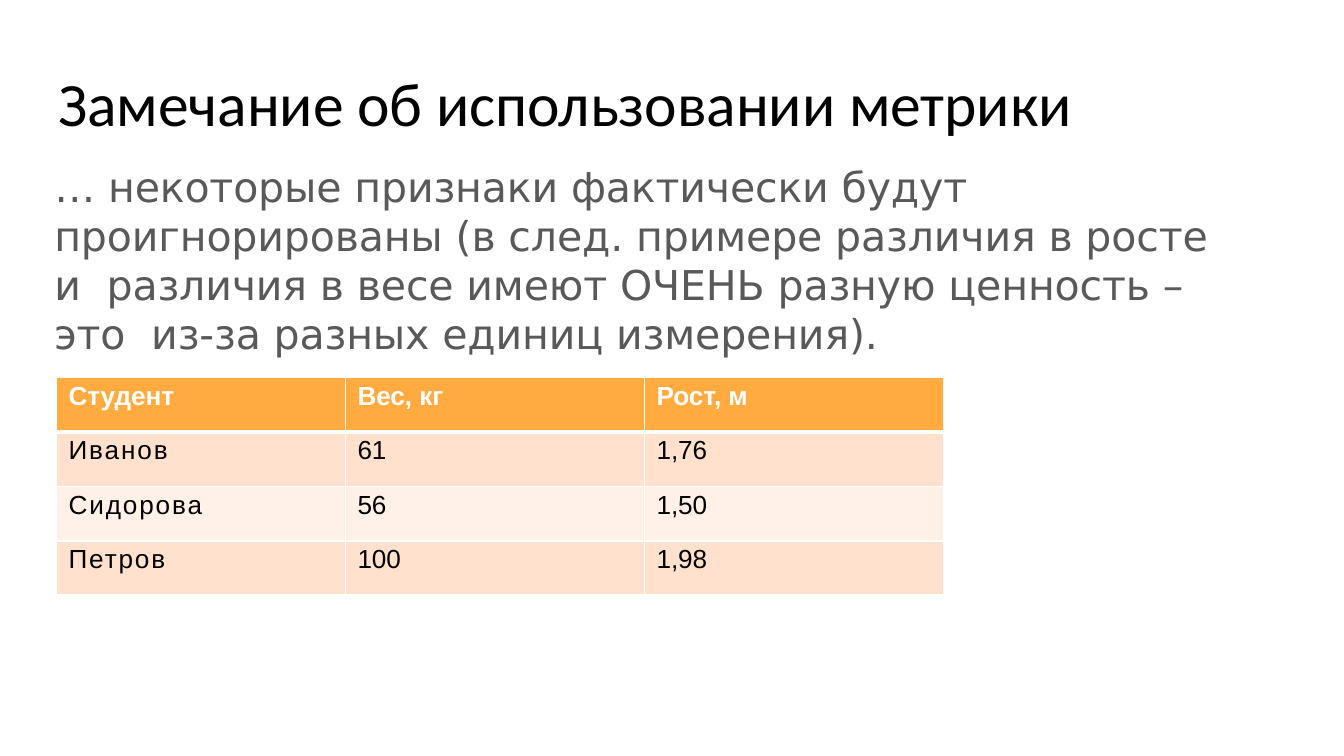
import pptx
import pptx.dml.color
import pptx.enum.text
import pptx.oxml
import pptx.oxml.ns
import pptx.util
from pptx.util import Inches, Pt

BLACK, WHITE, GREY = "000000", "FFFFFF", "595959"
HEADER, BAND_DARK, BAND_LIGHT = "FFAB40", "FFE1CD", "FFF1E7"
ROWS = [
    ("Студент", "Вес, кг", "Рост, м"),
    ("Иванов", "61", "1,76"),
    ("Сидорова", "56", "1,50"),
    ("Петров", "100", "1,98"),
]
TABLE_WIDTH, TABLE_HEIGHT = 6.6, 1.62
NAME_WIDTH = 2.15
VALUE_WIDTH = (TABLE_WIDTH - NAME_WIDTH) / 2
COLUMN_WIDTHS = (NAME_WIDTH, VALUE_WIDTH, VALUE_WIDTH)
REMARK = (
    "… некоторые признаки фактически будут  проигнорированы "
    "(в след. примере различия в росте и  различия в весе имеют ОЧЕНЬ "
    "разную ценность – это  из-за разных единиц измерения)."
)


def color(value):
    """Turn a hex string into a colour."""
    return pptx.dml.color.RGBColor.from_string(value)


def write(frame, text, font="Arial", size=14, fill=BLACK, bold=False,
          spacing=-0.05, before=0, line=None, indent=Pt(1)):
    """Write one left-aligned paragraph into a text frame."""
    paragraph = frame.paragraphs[0]
    paragraph.alignment = pptx.enum.text.PP_ALIGN.LEFT
    paragraph.space_before = Pt(before)
    if line:
        paragraph.line_spacing = Pt(line)
    properties = paragraph._p.get_or_add_pPr()
    properties.set("marL", str(int(indent)))
    properties.set("indent", "0")
    run = paragraph.add_run()
    run.text = text
    run.font.name, run.font.size, run.font.bold = font, Pt(size), bold
    run.font.color.rgb = color(fill)
    run._r.get_or_add_rPr().set("spc", str(round(spacing * 100)))


def set_frame(frame, top, anchor):
    """Set wrapping, insets and anchor of a text frame."""
    frame.word_wrap = True
    frame.auto_size = pptx.enum.text.MSO_AUTO_SIZE.SHAPE_TO_FIT_TEXT
    frame.margin_left = frame.margin_right = frame.margin_bottom = 0
    frame.margin_top = Inches(top)
    frame.vertical_anchor = anchor


def set_borders(cell, widths):
    """Draw white cell borders; widths are points by side."""
    properties = cell._tc.get_or_add_tcPr()
    for position, side in enumerate("LRTB"):
        border = pptx.oxml.parse_xml(
            f'<a:ln{side} {pptx.oxml.ns.nsdecls("a")} w="{Pt(widths.get(side, 1))}">'
            f'<a:solidFill><a:srgbClr val="{WHITE}"/></a:solidFill></a:ln{side}>')
        properties.insert(position, border)


def add_title(slide, text):
    """Place and fill the title placeholder."""
    title = slide.shapes.title
    title.left, title.top = Inches(0.42), Inches(0.53)
    title.width, title.height = Inches(7.81), Inches(0.44)
    set_frame(title.text_frame, 0.01, pptx.enum.text.MSO_ANCHOR.MIDDLE)
    write(title.text_frame, text, font="Calibri", size=33, before=1)


def add_remark(slide, text):
    """Add the explanatory paragraph."""
    box = slide.shapes.add_textbox(
        Inches(0.39), Inches(1.17), Inches(8.85), Inches(1.49))
    set_frame(box.text_frame, 0.03, pptx.enum.text.MSO_ANCHOR.TOP)
    write(box.text_frame, text, font="DejaVu Sans", size=22, fill=GREY,
          before=1.9, line=26.3)


def add_student_table(slide):
    """Add the banded table of students."""
    table = slide.shapes.add_table(
        len(ROWS), len(COLUMN_WIDTHS), Inches(0.42), Inches(2.81),
        Inches(TABLE_WIDTH), Inches(TABLE_HEIGHT)).table
    for column, width in zip(table.columns, COLUMN_WIDTHS):
        column.width = Inches(width)
    for row_index, values in enumerate(ROWS):
        is_header = row_index == 0
        band = BAND_DARK if row_index % 2 else BAND_LIGHT
        for column_index, text in enumerate(values):
            cell = table.cell(row_index, column_index)
            cell.margin_left = cell.margin_right = cell.margin_bottom = 0
            cell.margin_top = Inches(0.03)
            cell.fill.solid()
            cell.fill.fore_color.rgb = color(HEADER if is_header else band)
            set_borders(cell, {0: {"B": 3}, 1: {"T": 3}}.get(row_index, {}))
            is_name = column_index == 0 and not is_header
            write(cell.text_frame, text, fill=WHITE if is_header else BLACK,
                  bold=is_header, spacing=1 if is_name else -0.05,
                  before=2.4, indent=Inches(0.09))


def main():
    """Build and save the slide."""
    presentation = pptx.Presentation()
    presentation.slide_width = Inches(10)
    presentation.slide_height = Inches(10 * 9 / 16)
    slide = presentation.slides.add_slide(presentation.slide_layouts[5])
    add_title(slide, "Замечание об использовании метрики")
    add_remark(slide, REMARK)
    add_student_table(slide)
    presentation.save("out.pptx")


main()
